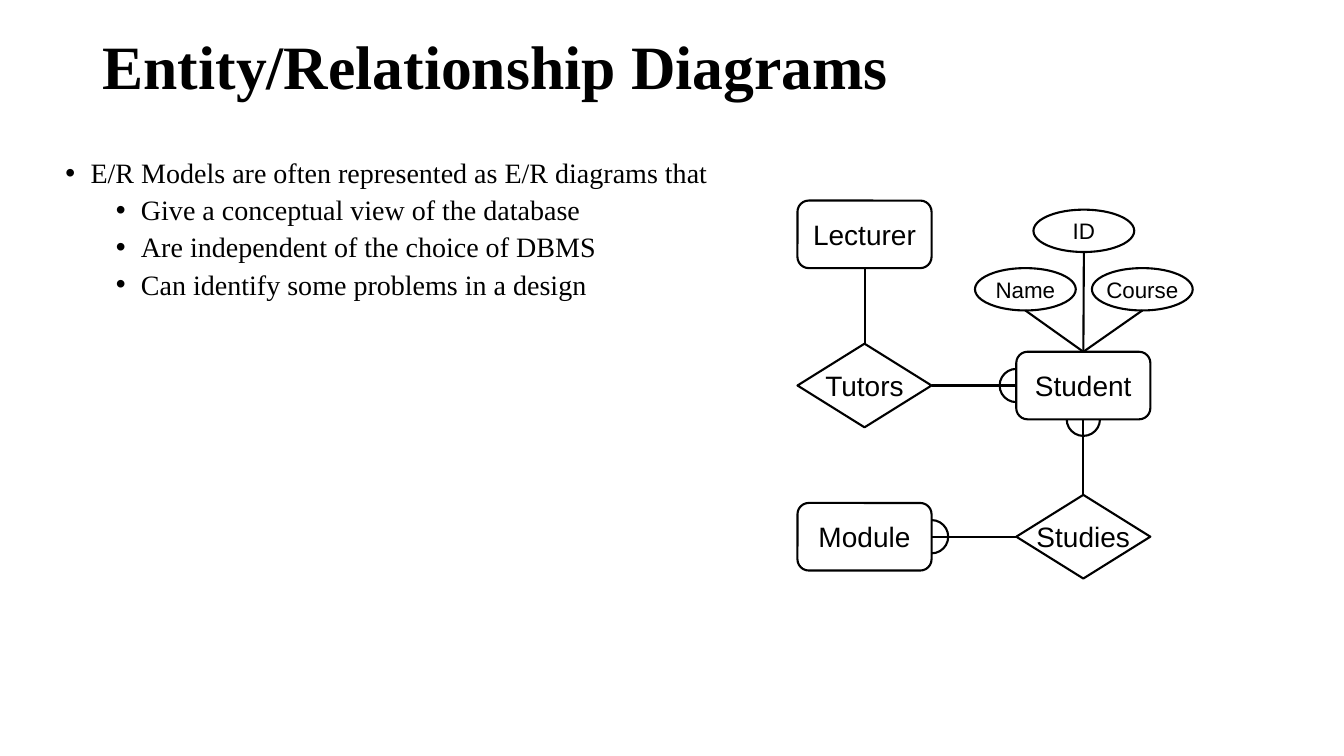
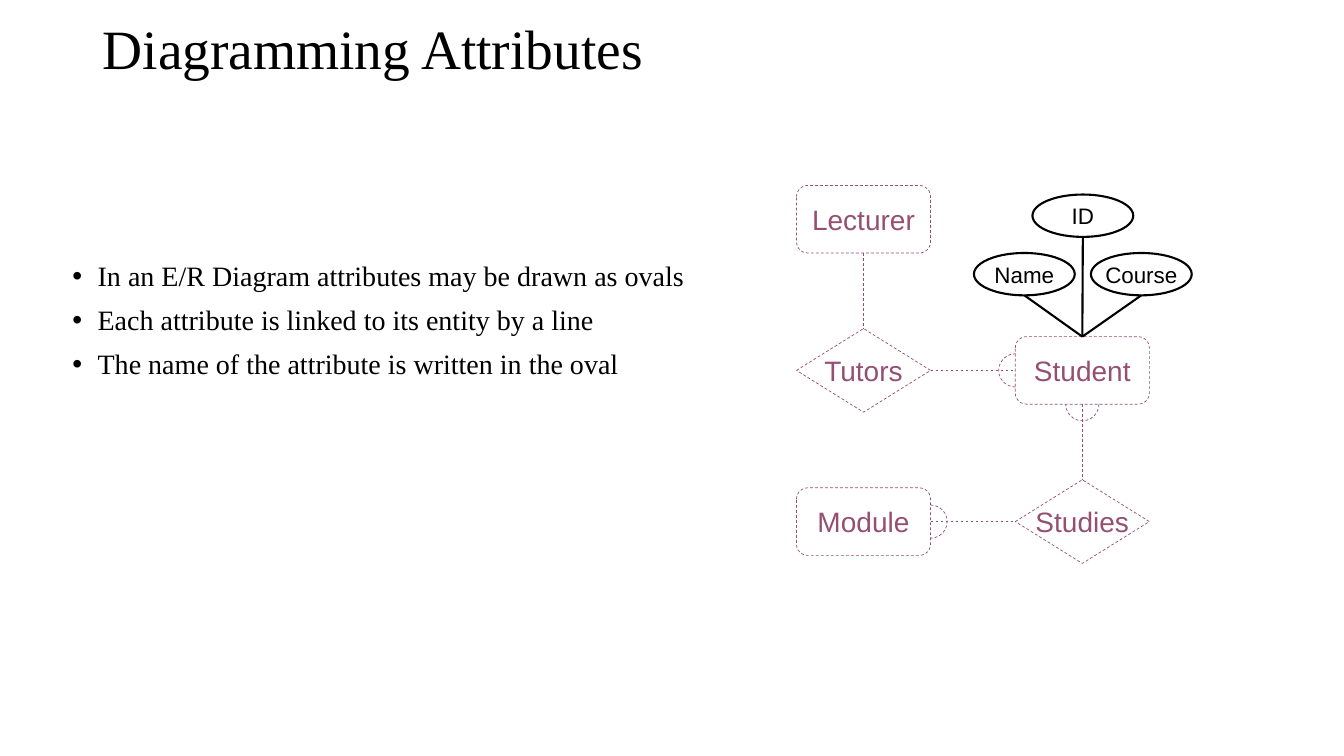
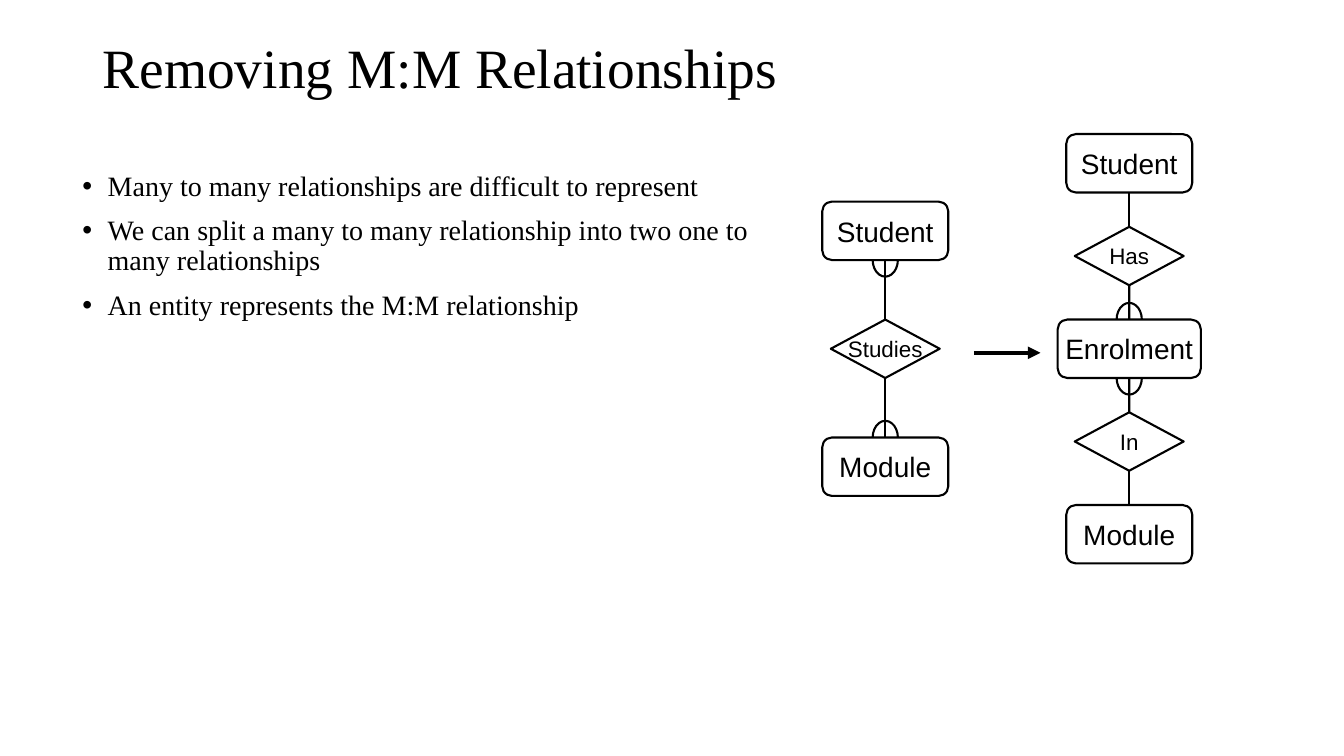
from collections import namedtuple

from lxml.etree import SubElement
from pptx import Presentation
from pptx.dml.color import RGBColor
from pptx.enum.dml import MSO_LINE
from pptx.enum.shapes import MSO_CONNECTOR, MSO_SHAPE
from pptx.enum.text import MSO_ANCHOR, PP_ALIGN
from pptx.oxml.ns import qn
from pptx.util import Inches, Pt

BLACK = RGBColor(0x00, 0x00, 0x00)
PLUM = RGBColor(0x95, 0x4F, 0x72)
SERIF = "Times New Roman"
SANS = "Arial"
TOP, LEFT, BOTTOM, RIGHT = range(4)
ARC_START = {TOP: 180, LEFT: 90, BOTTOM: 0, RIGHT: 270}
ARC_UNITS_PER_DEGREE = 0.6

Pen = namedtuple("Pen", "color width dash")
SOLID = Pen(BLACK, 1.5, None)
THICK = Pen(BLACK, 3, None)
FADED = Pen(PLUM, 0.5, MSO_LINE.DASH)


def side_point(shape, side):
    middle_x = shape.left + shape.width // 2
    middle_y = shape.top + shape.height // 2
    return {
        TOP: (middle_x, shape.top),
        LEFT: (shape.left, middle_y),
        BOTTOM: (middle_x, shape.top + shape.height),
        RIGHT: (shape.left + shape.width, middle_y),
    }[side]


class Deck:
    """Draws titles, bullet lists and entity/relationship diagrams in one style."""

    def __init__(self):
        self.presentation = Presentation()
        self.presentation.slide_width = Inches(13.33)
        self.presentation.slide_height = Inches(7.5)
        self.slide = None
        self.shapes = None

    def add_slide(self, title, top, height, size=39.6, bold=False):
        self.slide = self.presentation.slides.add_slide(self.presentation.slide_layouts[6])
        self.shapes = self.slide.shapes
        frame = self.text_frame(0.92, top, 11.5, height)
        frame.vertical_anchor = MSO_ANCHOR.MIDDLE
        paragraph = frame.paragraphs[0]
        paragraph.line_spacing = 0.9
        self.run(paragraph, title, SERIF, size, BLACK, bold)

    def start_group(self):
        self.shapes = self.slide.shapes.add_group_shape().shapes

    def end_group(self):
        self.shapes = self.slide.shapes

    def text_frame(self, left, top, width, height):
        box = self.shapes.add_textbox(Inches(left), Inches(top), Inches(width), Inches(height))
        box.text_frame.word_wrap = True
        return box.text_frame

    def run(self, paragraph, text, font, size, color, bold=False):
        run = paragraph.add_run()
        run.text = text
        run.font.name = font
        run.font.size = Pt(size)
        run.font.color.rgb = color
        run.font.bold = bold

    def bullets(self, left, top, width, height, items):
        frame = self.text_frame(left, top, width, height)
        for index, (level, text) in enumerate(items):
            paragraph = frame.add_paragraph() if index else frame.paragraphs[0]
            properties = paragraph._p.get_or_add_pPr()
            properties.set("marL", str(Inches(0.25 + 0.5 * level)))
            properties.set("indent", str(Inches(-0.25)))
            SubElement(properties, qn("a:buFont"), typeface=SANS)
            SubElement(properties, qn("a:buChar"), char="•")
            paragraph.level = level
            paragraph.line_spacing = 0.9
            if index:
                paragraph.space_before = Pt(5 if level else 10)
            self.run(paragraph, text, SERIF, 20, BLACK)

    def apply_pen(self, line, pen):
        line.color.rgb = pen.color
        line.width = Pt(pen.width)
        if pen.dash:
            line.dash_style = pen.dash

    def outline(self, kind, left, top, width, height, pen):
        shape = self.shapes.add_shape(kind, left, top, width, height)
        shape.shadow.inherit = False
        shape.fill.background()
        self.apply_pen(shape.line, pen)
        return shape

    def node(self, kind, text, left, top, width, height, size=20, pen=SOLID):
        box = (Inches(value) for value in (left, top, width, height))
        shape = self.outline(kind, *box, pen)
        frame = shape.text_frame
        frame.word_wrap = False
        frame.vertical_anchor = MSO_ANCHOR.MIDDLE
        paragraph = frame.paragraphs[0]
        paragraph.alignment = PP_ALIGN.CENTER
        self.run(paragraph, text, SANS, size, pen.color)
        return shape

    def line(self, start, end, pen=SOLID):
        connector = self.shapes.add_connector(MSO_CONNECTOR.STRAIGHT, *start, *end)
        self.apply_pen(connector.line, pen)
        SubElement(connector._element.spPr, qn("a:effectLst"))
        return connector

    def arrow(self, start, end):
        connector = self.line(start, end, THICK)
        SubElement(connector.line._get_or_add_ln(), qn("a:tailEnd"), type="triangle")

    def link(self, first, first_side, second, second_side, pen=SOLID):
        connector = self.line(side_point(first, first_side), side_point(second, second_side), pen)
        connector.begin_connect(first, first_side)
        connector.end_connect(second, second_side)

    def many(self, entity, side, width=0.33, pen=SOLID):
        x, y = side_point(entity, side)
        width, height = Inches(width), Inches(0.33)
        arc = self.outline(MSO_SHAPE.ARC, x - width // 2, y - height // 2, width, height, pen)
        start = ARC_START[side]
        arc.adjustments[0] = start * ARC_UNITS_PER_DEGREE
        arc.adjustments[1] = (start + 180) % 360 * ARC_UNITS_PER_DEGREE

    def student_diagram(self, left, top, pen):
        column, row = 2.17, 1.5

        def entity(text, across, down):
            return self.node(MSO_SHAPE.ROUNDED_RECTANGLE, text, left + across * column,
                             top + down * row, 1.33, 0.67, pen=pen)

        def relationship(text, across, down):
            return self.node(MSO_SHAPE.DIAMOND, text, left + across * column,
                             top + down * row - 0.08, 1.33, 0.83, pen=pen)

        student = entity("Student", 1, 1)
        lecturer = entity("Lecturer", 0, 0)
        module = entity("Module", 0, 2)
        tutors = relationship("Tutors", 0, 1)
        studies = relationship("Studies", 1, 2)
        self.link(lecturer, BOTTOM, tutors, TOP, pen)
        self.link(tutors, RIGHT, student, LEFT, pen)
        self.link(student, BOTTOM, studies, TOP, pen)
        self.link(module, RIGHT, studies, LEFT, pen)
        for many_entity, side in ((module, RIGHT), (student, LEFT), (student, BOTTOM)):
            self.many(many_entity, side, pen=pen)
        for text, shift, down in (("ID", 0, 0.09), ("Course", 0.58, 0.67), ("Name", -0.58, 0.67)):
            oval = self.node(MSO_SHAPE.OVAL, text, left + column + 0.17 + shift,
                             top + down, 1, 0.42, 16)
            connector = self.line(side_point(student, TOP), side_point(oval, BOTTOM))
            connector.begin_connect(student, TOP)

    def chain(self, center, top, step, nodes):
        self.start_group()
        shapes = []
        for index, (kind, text, width) in enumerate(nodes):
            size = 16 if kind == MSO_SHAPE.DIAMOND else 20
            shapes.append(self.node(kind, text, center - width / 2, top + index * step,
                                    width, 0.58, size))
        for upper, lower in zip(shapes, shapes[1:]):
            self.link(upper, BOTTOM, lower, TOP)
        return shapes


def main():
    deck = Deck()

    deck.add_slide("Entity/Relationship Diagrams", 0.31, 0.76, 44, True)
    deck.bullets(0.55, 1.53, 6.69, 4.76, [
        (0, "E/R Models are often represented as E/R diagrams that"),
        (1, "Give a conceptual view of the database"),
        (1, "Are independent of the choice of DBMS"),
        (1, "Can identify some problems in a design"),
    ])
    deck.student_diagram(7.91, 1.99, SOLID)

    deck.add_slide("Diagramming Attributes", 0.25, 0.52)
    deck.bullets(0.62, 2.55, 6.59, 1.92, [
        (0, "In an E/R Diagram attributes may be drawn as ovals"),
        (0, "Each attribute is linked to its entity by a line"),
        (0, "The name of the attribute is written in the oval"),
    ])
    deck.student_diagram(7.9, 1.84, FADED)

    deck.add_slide("Removing M:M Relationships", 0.4, 0.6)
    deck.bullets(0.72, 1.66, 6.86, 4.76, [
        (0, "Many to many relationships are difficult to represent"),
        (0, "We can split a many to many relationship into two one to many relationships"),
        (0, "An entity represents the M:M relationship"),
    ])
    student = (MSO_SHAPE.ROUNDED_RECTANGLE, "Student", 1.25)
    module = (MSO_SHAPE.ROUNDED_RECTANGLE, "Module", 1.25)
    many_to_many = deck.chain(8.78, 2, 1.17, [
        student, (MSO_SHAPE.DIAMOND, "Studies", 1.08), module,
    ])
    deck.many(many_to_many[0], BOTTOM, 0.25)
    deck.many(many_to_many[-1], TOP, 0.25)
    one_to_many = deck.chain(11.2, 1.33, 0.92, [
        student,
        (MSO_SHAPE.DIAMOND, "Has", 1.08),
        (MSO_SHAPE.ROUNDED_RECTANGLE, "Enrolment", 1.42),
        (MSO_SHAPE.DIAMOND, "In", 1.08),
        module,
    ])
    for side in (BOTTOM, TOP):
        deck.many(one_to_many[2], side, 0.25)
    deck.end_group()
    deck.arrow((Inches(9.66), Inches(3.5)), (Inches(10.32), Inches(3.5)))

    deck.presentation.save("out.pptx")


if __name__ == "__main__":
    main()
